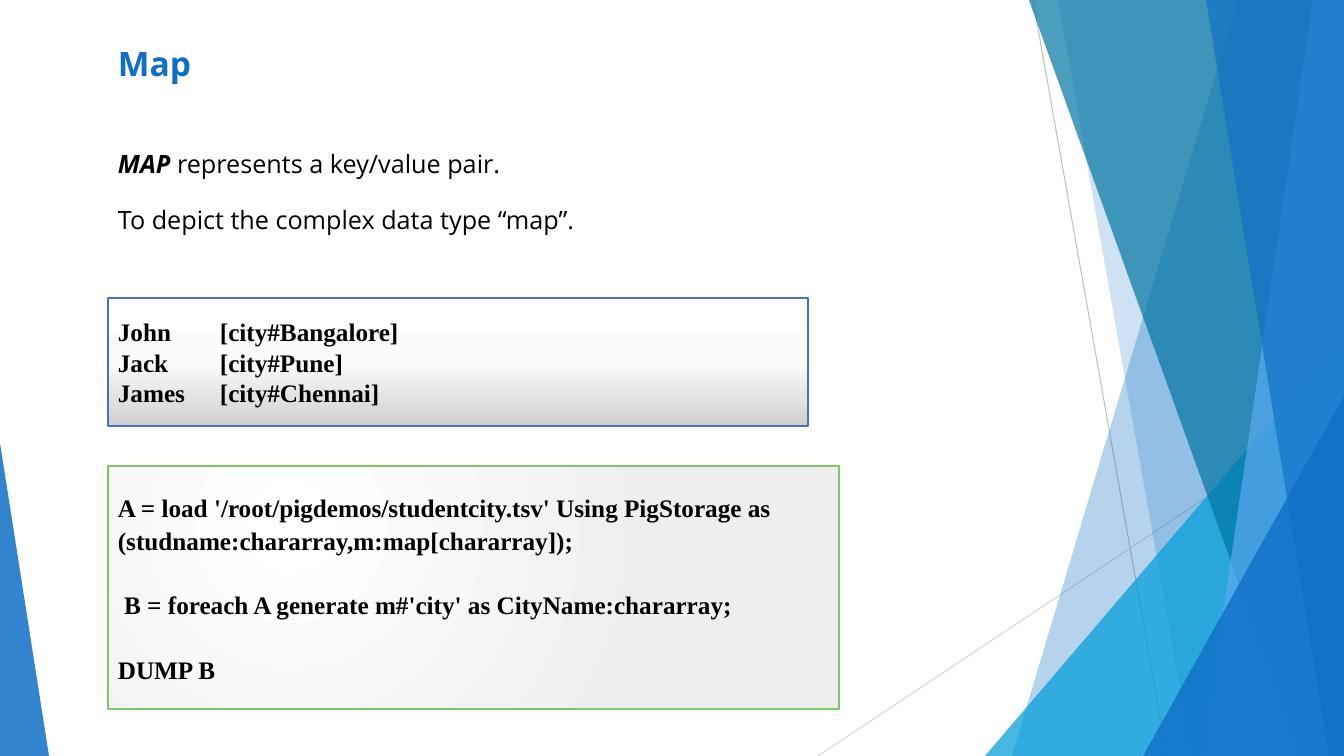
from dataclasses import dataclass

from lxml.etree import SubElement
from pptx import Presentation
from pptx.dml.color import RGBColor
from pptx.enum.shapes import MSO_CONNECTOR as CONN, MSO_SHAPE as SHAPE
from pptx.enum.text import MSO_ANCHOR as ANCHOR, PP_ALIGN as ALIGN
from pptx.oxml.ns import qn
from pptx.util import Pt

W, H = 1344, 756
SCALE = 914400 / 100.8


@dataclass(frozen=True)
class Theme:
    """Colours, fonts and type sizes of the slide."""
    blue: str = "0F6FC6"
    sky: str = "59AAF2"
    cyan: str = "009DD9"
    teal: str = "0076A3"
    ink: str = "000000"
    rule: str = "BFBFBF"
    pale_rule: str = "D9D9D9"
    data_line: str = "4472C4"
    code_line: str = "7CCA62"
    data_stops: tuple = ((0, "FFFFFF"), (50, "FBFBFB"), (100, "D0D0D0"))
    code_stops: tuple = ((0, "FFFFFF"), (100, "EEEEEE"))
    sans: str = "Open Sans"
    serif: str = "Times New Roman"
    title: int = 24
    body: int = 18


T = Theme()


def px(*lengths):
    """Turn pixels into EMU."""
    return [round(n * SCALE) for n in lengths]


def paint(sp, color, opacity):
    """Give a shape a translucent fill without outline or shadow."""
    sp.shadow.inherit = False
    sp.line.fill.background()
    sp.fill.solid()
    sp.fill.fore_color.rgb = RGBColor.from_string(color)
    clr = sp.fill._xPr.find(".//" + qn("a:srgbClr"))
    SubElement(clr, qn("a:alpha"), val=str(opacity * 1000))


def add_band(slide, top_x, bottom_x, color, opacity):
    """Add a full-height band from a slanted left edge to the slide's right edge."""
    fb = slide.shapes.build_freeform(top_x, 0, scale=SCALE)
    fb.add_line_segments([(W, 0), (W, H), (bottom_x, H)], close=True)
    paint(fb.convert_to_shape(), color, opacity)


def add_wedge(slide, x, y, w, apex, color, opacity):
    """Add a triangle standing on the bottom edge, its apex at a share of its width."""
    sp = slide.shapes.add_shape(SHAPE.ISOSCELES_TRIANGLE, *px(x, y, w, H - y))
    sp.adjustments[0] = apex
    paint(sp, color, opacity)


def add_rule(slide, start, end, color):
    """Add a thin straight line."""
    ln = slide.shapes.add_connector(CONN.STRAIGHT, *px(*start, *end))
    ln.line.color.rgb = RGBColor.from_string(color)
    ln.line.width = Pt(0.75)
    SubElement(ln._element.spPr, qn("a:effectLst"))


def set_gradient(sp, stops, centre=None):
    """Fill a shape with a vertical gradient, or a circular one around a rectangle."""
    sp.fill.gradient()
    grad = sp._element.spPr.find(qn("a:gradFill"))
    for child in list(grad):
        grad.remove(child)
    gs_list = SubElement(grad, qn("a:gsLst"))
    for pos, color in stops:
        gs = SubElement(gs_list, qn("a:gs"), pos=str(pos * 1000))
        SubElement(gs, qn("a:srgbClr"), val=color)
    if centre:
        circle = SubElement(grad, qn("a:path"), path="circle")
        sides = {k: str(v * 1000) for k, v in zip("ltrb", centre)}
        SubElement(circle, qn("a:fillToRect"), **sides)
    else:
        SubElement(grad, qn("a:lin"), ang="5400000", scaled="0")


def add_panel(slide, box, stops, line, width, centre=None):
    """Add an outlined rectangle with a gradient fill."""
    sp = slide.shapes.add_shape(SHAPE.RECTANGLE, *px(*box))
    sp.shadow.inherit = False
    set_gradient(sp, stops, centre)
    sp.line.color.rgb = RGBColor.from_string(line)
    sp.line.width = Pt(width)
    return sp


def write(sp, paragraphs, font, size=T.body, color=T.ink, bold=False,
          anchor=ANCHOR.MIDDLE, gap=0, spacing=None, tab=None):
    """Write paragraphs, each a string or a list of (text, bold, italic) runs."""
    tf = sp.text_frame
    tf.word_wrap = True
    tf.vertical_anchor = anchor
    for i, content in enumerate(paragraphs):
        p = tf.add_paragraph() if i else tf.paragraphs[0]
        p.alignment = ALIGN.LEFT
        p.space_before = Pt(gap if i else 0)
        if spacing:
            p.line_spacing = spacing
        if tab:
            tabs = SubElement(p._p.get_or_add_pPr(), qn("a:tabLst"))
            SubElement(tabs, qn("a:tab"), pos=str(px(tab)[0]), algn="l")
        runs = [(content, bold, False)] if isinstance(content, str) else content
        for text, strong, italic in runs:
            r = p.add_run()
            r.text = text
            r.font.name, r.font.size = font, Pt(size)
            r.font.bold, r.font.italic = strong, italic
            r.font.color.rgb = RGBColor.from_string(color)


def add_backdrop(slide):
    """Add the faceted decoration from back to front."""
    add_rule(slide, (1033, 0), (1167, H), T.rule)
    add_rule(slide, (W, 406), (818, H), T.pale_rule)
    add_band(slide, 1238, 1012, T.blue, 30)
    add_band(slide, 1058, 1192, T.blue, 20)
    add_wedge(slide, 985, 336, 359, 1, T.cyan, 72)
    add_band(slide, 1029, 1301, T.teal, 70)
    add_band(slide, 1313, 1202, T.sky, 70)
    add_band(slide, 1206, 1329, T.blue, 65)
    add_wedge(slide, 1143, 396, 201, 1, T.blue, 80)
    add_wedge(slide, 0, 443, 49, 0, T.blue, 85)


def main():
    """Build the slide and save it."""
    prs = Presentation()
    prs.slide_width, prs.slide_height = px(W, H)
    slide = prs.slides.add_slide(prs.slide_layouts[6])
    add_backdrop(slide)

    title = slide.shapes.add_textbox(*px(108, 38, 801, 56))
    write(title, ["Map"], T.sans, size=T.title, color=T.blue, bold=True, anchor=ANCHOR.TOP)

    intro = slide.shapes.add_textbox(*px(108, 143, 882, 132))
    write(intro, [[("MAP", True, True), (" represents a key/value pair.", False, False)],
                  "To depict the complex data type “map”."],
          T.sans, anchor=ANCHOR.TOP, gap=18.5)

    data = add_panel(slide, (108, 298, 700, 128), T.data_stops, T.data_line, 1)
    cities = {"John": "Bangalore", "Jack": "Pune", "James": "Chennai"}
    write(data, [f"{name}\t[city#{city}]" for name, city in cities.items()],
          T.serif, bold=True, tab=102)

    code = add_panel(slide, (108, 466, 731, 243), T.code_stops, T.code_line, 1.5,
                     centre=(50, 50, 100, 100))
    write(code, ["A = load '/root/pigdemos/studentcity.tsv' Using PigStorage as "
                 "(studname:chararray,m:map[chararray]);",
                 "\u00a0B = foreach A generate m#'city' as CityName:chararray;",
                 "DUMP B"],
          T.serif, bold=True, gap=23, spacing=1.07)

    prs.save("out.pptx")


main()
